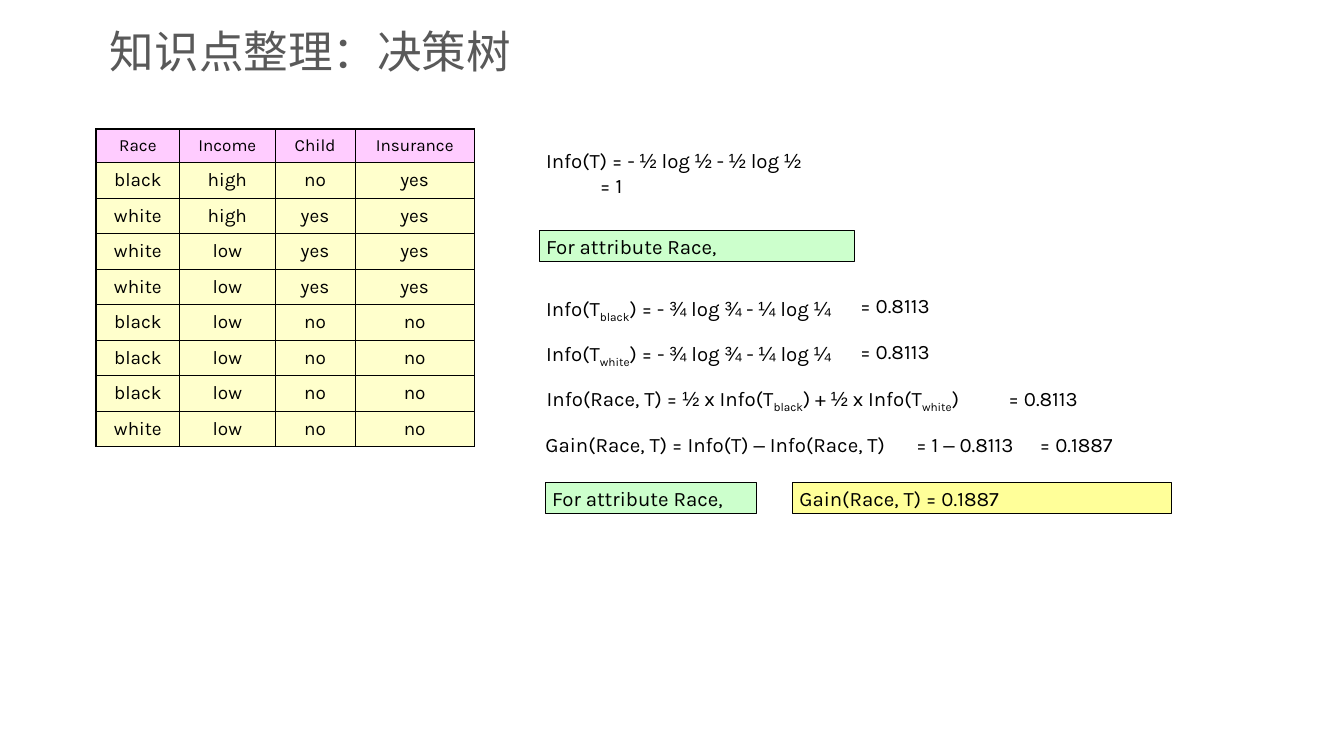
from itertools import groupby

from lxml.etree import SubElement
from pptx import Presentation
from pptx.dml.color import RGBColor
from pptx.enum.shapes import MSO_SHAPE as Preset
from pptx.enum.text import MSO_ANCHOR as Anchor, MSO_AUTO_SIZE as AutoSize, PP_ALIGN as Align
from pptx.oxml.ns import qn
from pptx.util import Emu, Pt

PX = 9144  # 100 px to the inch
COLORS = {name: RGBColor.from_string(value) for name, value in {
    "title": "595959", "black": "000000", "header": "FFCCFF",
    "body": "FFFFCC", "green": "CCFFCC", "yellow": "FFFF99"}.items()}
SYMBOLS = "½¾¼–"  # set in Arial, all other characters in Karla


def write_formula(shape, lines, second_line_indent=0):
    """Fill a shape with lines; text between underscores becomes a subscript."""
    frame = shape.text_frame
    frame.word_wrap = True
    frame.auto_size = AutoSize.SHAPE_TO_FIT_TEXT
    frame.vertical_anchor = Anchor.TOP
    for line_number, line in enumerate(lines):
        paragraph = frame.add_paragraph() if line_number else frame.paragraphs[0]
        paragraph.alignment = Align.LEFT
        if line_number:
            paragraph._p.get_or_add_pPr().set("marL", str(second_line_indent * PX))
        for part_number, part in enumerate(line.split("_")):
            for is_symbol, characters in groupby(part, lambda character: character in SYMBOLS):
                run = paragraph.add_run()
                run.text = "".join(characters)
                run.font.name = "Arial" if is_symbol else "Karla"
                run.font.size = Pt(21.6)
                run.font.color.rgb = COLORS["black"]
                if part_number % 2:
                    run.font._element.set("baseline", "-25000")


def add_border(cell, side, width):
    """Draw one side of a table cell; call before the cell is filled."""
    line = SubElement(cell._tc.get_or_add_tcPr(), qn(f"a:ln{side}"), w=str(Pt(width)))
    fill = SubElement(line, qn("a:solidFill"))
    SubElement(fill, qn("a:srgbClr"), val=str(COLORS["black"]))


# Slide of 50 by 28 cm, in the nearest 1/576 inch
presentation = Presentation()
presentation.slide_width = Emu(18000663)
presentation.slide_height = Emu(10080625)
slide = presentation.slides.add_slide(presentation.slide_layouts[5])

# Title
title = slide.shapes.title
title.left, title.top, title.width, title.height = [n * PX for n in (141, 25, 984, 99)]
frame = title.text_frame
frame.text = "知识点整理：决策树"
frame.auto_size = AutoSize.NONE
frame.vertical_anchor = Anchor.MIDDLE
frame.margin_left = frame.margin_right = 20 * PX
frame.margin_top = frame.margin_bottom = 10 * PX
frame.paragraphs[0].alignment = Align.LEFT
font = frame.paragraphs[0].runs[0].font
font.name, font.size, font.color.rgb = "Calibri", Pt(47), COLORS["title"]

# Training data table
records = [
    ("Race", "Income", "Child", "Insurance"),
    ("black", "high", "no", "yes"),
    ("white", "high", "yes", "yes"),
    ("white", "low", "yes", "yes"),
    ("white", "low", "yes", "yes"),
    ("black", "low", "no", "no"),
    ("black", "low", "no", "no"),
    ("black", "low", "no", "no"),
    ("white", "low", "no", "no"),
]
column_widths = [122, 140, 117, 175]
row_heights = [49] + [52] * 8
last_row, last_column = len(records) - 1, len(column_widths) - 1
table = slide.shapes.add_table(
    len(records), len(column_widths), 141 * PX, 189 * PX,
    sum(column_widths) * PX, sum(row_heights) * PX).table
table.first_row = table.horz_banding = False
for column, width in zip(table.columns, column_widths):
    column.width = width * PX
for row_number, record in enumerate(records):
    table.rows[row_number].height = row_heights[row_number] * PX
    for column_number, value in enumerate(record):
        cell = table.cell(row_number, column_number)
        cell.margin_left = cell.margin_right = 20 * PX
        cell.margin_top, cell.margin_bottom = 10 * PX, 9 * PX
        outer_sides = {"L": column_number == 0, "R": column_number == last_column,
                       "T": row_number == 0, "B": row_number == last_row}
        for side, is_outer in outer_sides.items():
            add_border(cell, side, 2.25 if is_outer else 1)
        cell.fill.solid()
        cell.fill.fore_color.rgb = COLORS["body" if row_number else "header"]
        cell.text_frame.text = value
        paragraph = cell.text_frame.paragraphs[0]
        paragraph.alignment = Align.CENTER
        font = paragraph.runs[0].font
        font.name, font.size = "Karla", Pt(20 if row_number else 18)
        font.color.rgb = COLORS["black"]

# Calculation steps: left, top, width, text
entropy = "Info(T_{}_) = - ¾ log ¾ - ¼ log ¼"
steps = [
    (790, 428, 490, entropy.format("black")),
    (1250, 424, 240, "= 0.8113"),
    (790, 494, 490, entropy.format("white")),
    (1250, 491, 240, "= 0.8113"),
    (791, 560, 699, "Info(Race, T) = ½ x Info(T_black_) + ½ x Info(T_white_)"),
    (1467, 560, 240, "= 0.8113"),
    (789, 628, 582, "Gain(Race, T) = Info(T) – Info(Race, T)"),
    (1332, 628, 240, "= 1 – 0.8113"),
    (1513, 628, 240, "= 0.1887"),
]
total_entropy = slide.shapes.add_textbox(790 * PX, 212 * PX, 490 * PX, 83 * PX)
write_formula(total_entropy, ["Info(T) = - ½ log ½ - ½ log ½", "= 1"], second_line_indent=79)
for left, top, width, text in steps:
    step = slide.shapes.add_textbox(left * PX, top * PX, width * PX, 46 * PX)
    write_formula(step, [text])

# Highlighted boxes: left, top, width, colour, text
highlights = [
    (790, 337, 461, "green", "For attribute Race,"),
    (799, 706, 309, "green", "For attribute Race,"),
    (1161, 706, 555, "yellow", "Gain(Race, T) = 0.1887"),
]
for left, top, width, color, text in highlights:
    box = slide.shapes.add_shape(Preset.RECTANGLE, left * PX, top * PX, width * PX, 46 * PX)
    box.shadow.inherit = False
    box.fill.solid()
    box.fill.fore_color.rgb = COLORS[color]
    box.line.color.rgb = COLORS["black"]
    box.line.width = Pt(0.75)
    write_formula(box, [text])

presentation.save("out.pptx")
